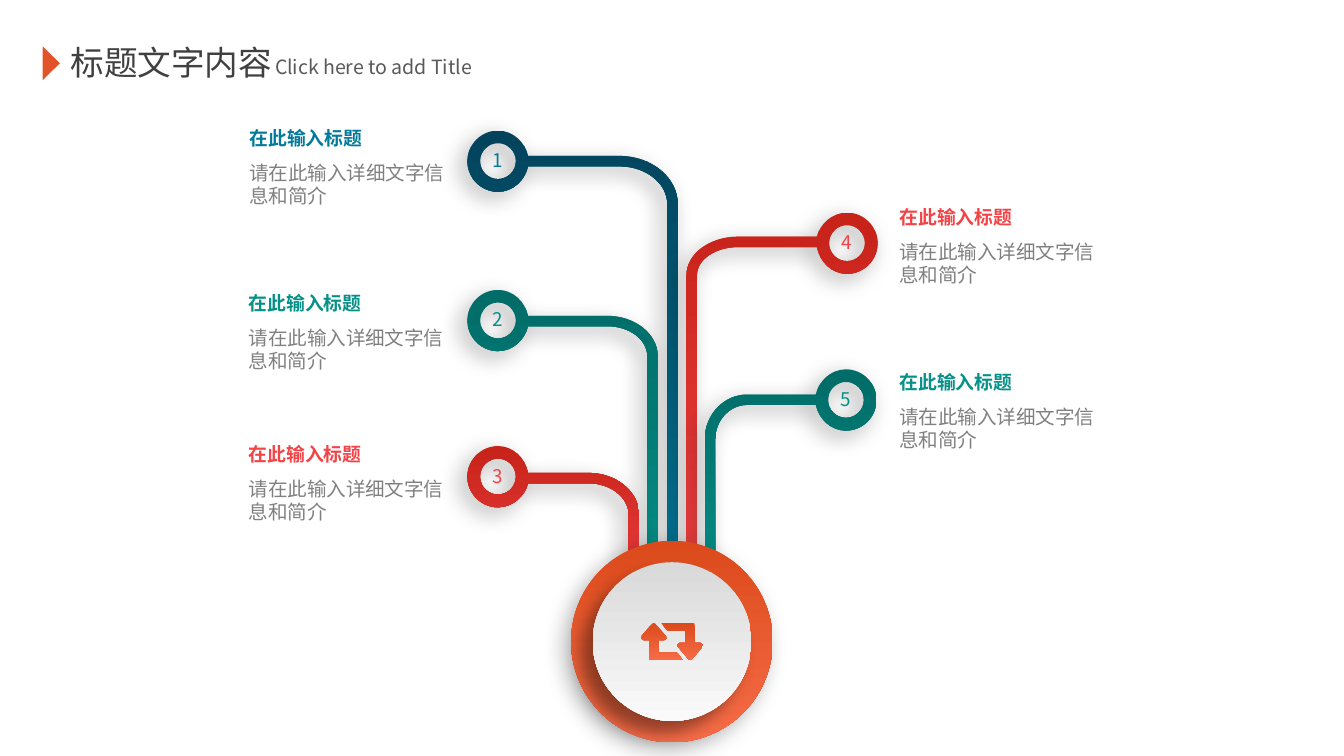
from lxml import etree
from pptx import Presentation
from pptx import util as u
from pptx.dml.color import RGBColor
from pptx.enum import shapes, text
from pptx.oxml import ns

Pt = u.Pt
FONT = "Noto Sans CJK SC"
DARK = RGBColor(0x40, 0x40, 0x40)
MID = RGBColor(0x59, 0x59, 0x59)
GRAY = RGBColor(0x80, 0x80, 0x80)
ORANGE = RGBColor(0xE2, 0x53, 0x2A)
# Gradient pairs, top to bottom; the second colour also serves for text.
BLUE = (RGBColor(0x03, 0x43, 0x5C), RGBColor(0x03, 0x7A, 0x9B))
TEAL = (RGBColor(0x02, 0x6C, 0x68), RGBColor(0x05, 0x91, 0x88))
RED = (RGBColor(0xC7, 0x23, 0x19), RGBColor(0xF3, 0x43, 0x47))
FLAME = (RGBColor(0xDC, 0x4A, 0x1B), RGBColor(0xF6, 0x6C, 0x47))
PALE = (RGBColor(0xD9, 0xD9, 0xD9), RGBColor(0xFA, 0xFA, 0xFA))

RING, HOLE, PIPE = 16.4, 9.6, 5.6
FOOT = 325.4
HUB = (360, 343.7)
# number, colours, ring centre, pipe y, bend centre, stem x, label corner
ROWS = [
    ("1", BLUE, (266.8, 86.4), 86.4, (332, 109.4), 360.3, (126.6, 64.2)),
    ("2", TEAL, (266.8, 171.7), 172, (325.4, 190.8), 349.6, (126.2, 152.6)),
    ("3", RED, (266.8, 255.4), 256.2, (315.4, 275.8), 339.6, (126.2, 233.5)),
    ("4", RED, (453.8, 130.3), 129.6, (395.3, 147.4), 370.6, (474.8, 106.6)),
    ("5", TEAL, (453.2, 214.3), 214.2, (400.3, 235.4), 380.4, (474.8, 195)),
]
ARROW = [(5.8, 10), (-11.5, 10), (-12.2, 9.4), (-12.2, -0.7), (-15.1, -0.7),
         (-16.6, -1.6), (-16.4, -2.8), (-10.6, -9.6), (-9.8, -10), (-9, -9.6),
         (-3.2, -2.8), (-3, -1.6), (-4.2, -0.7), (-7.2, -0.7), (-7.2, 5.8),
         (2.2, 5.8), (3, 6.3)]


def write(frame, words, size, color, bold=False, wrap=False, indent=0,
          align=text.PP_ALIGN.LEFT, anchor=text.MSO_ANCHOR.TOP):
    """Put one formatted paragraph into a text frame."""
    frame.auto_size = text.MSO_AUTO_SIZE.NONE
    frame.word_wrap = wrap
    frame.vertical_anchor = anchor
    frame.margin_left = frame.margin_right = Pt(7.2)
    frame.margin_top = frame.margin_bottom = Pt(3.6)
    par = frame.paragraphs[0]
    par.alignment = align
    par.line_spacing = Pt(round(size * 1.2, 1))
    if indent:
        par._p.get_or_add_pPr().set("marL", str(Pt(indent)))
    run = par.add_run()
    run.text = words
    font = run.font
    font.name, font.size, font.bold = FONT, Pt(size), bold
    font.color.rgb = color
    east = etree.SubElement(font._element, ns.qn("a:ea"))
    east.set("typeface", FONT)


def label(slide, box, words, size, color, **form):
    """Add a text box at box = left, top, width, height."""
    item = slide.shapes.add_textbox(*map(Pt, box))
    write(item.text_frame, words, size, color, **form)


def shade(item, colors, blur=0, dist=0, alpha=30):
    """Give a shape a vertical gradient, no line and an optional shadow."""
    item.fill.gradient()
    item.fill.gradient_angle = 270
    for stop, color in zip(item.fill.gradient_stops, colors):
        stop.color.rgb = color
    item.line.fill.background()
    item.shadow.inherit = False
    if blur:
        effects = item._element.spPr.find(ns.qn("a:effectLst"))
        cast = etree.SubElement(
            effects, ns.qn("a:outerShdw"), blurRad=str(Pt(blur)),
            dist=str(Pt(dist)), dir=str(135 * 60000), algn="tr",
            rotWithShape="0")
        tint = etree.SubElement(cast, ns.qn("a:srgbClr"), val="000000")
        etree.SubElement(tint, ns.qn("a:alpha"), val=str(alpha * 1000))


def turn(start, corner, end):
    """Return a quarter-ellipse step as two controls and an end point."""
    near, far = [tuple(p + 0.55 * (c - p) for p, c in zip(spot, corner))
                 for spot in (start, end)]
    return [near, far, end]


def outline(slide, loops):
    """Build a freeform; a loop is a start, then steps of 1 or 3 points."""
    pen = None
    for start, *steps in loops:
        spot = tuple(map(Pt, start))
        if pen is None:
            pen = slide.shapes.build_freeform(*spot, scale=1.0)
        else:
            pen.move_to(*spot)
        pen.add_line_segments(
            [(Pt(x), Pt(y)) for step in steps for x, y in step], close=True)
    item = pen.convert_to_shape()
    nodes = iter(list(item._element.iter(ns.qn("a:lnTo"))))
    for _, *steps in loops:
        for step in steps:
            group = [next(nodes) for _ in step]
            if len(group) == 3:
                curve = etree.Element(ns.qn("a:cubicBezTo"))
                group[0].addprevious(curve)
                for node in group:
                    curve.append(node[0])
                    node.getparent().remove(node)
    return item


def branch(slide, colors, ring, pipe, bend, stem):
    """Draw a ring whose pipe bends down into the hub."""
    side = 1 if ring[0] < stem else -1
    half = PIPE / 2
    (cx, cy), (bx, by) = ring, bend
    upper, lower = pipe - half, pipe + half
    far, near = stem + side * half, stem - side * half

    def at(x, y, size=1):
        """Return a point relative to the ring, x towards the stem."""
        return cx + side * x * size, cy + y * size

    def quarter(a, b, size):
        """Return a quarter turn between two compass points of the ring."""
        return turn(at(*a, size), at(a[0] + b[0], a[1] + b[1], size),
                    at(*b, size))

    north, west, south, east = (0, -1), (-1, 0), (0, 1), (1, 0)
    mouth = cx + side * 16.1
    body = [
        (mouth, upper),
        [at(14.6, -10), at(8.2, -RING), at(0, -RING)],
        quarter(north, west, RING),
        quarter(west, south, RING),
        [at(8.2, RING), at(14.6, 10), (mouth, lower)],
        [(bx, lower)],
        turn((bx, lower), (near, lower), (near, by)),
        [(near, FOOT)], [(far, FOOT)], [(far, by)],
        turn((far, by), (far, upper), (bx, upper)),
    ]
    hole = [at(0, -HOLE), quarter(north, east, HOLE),
            quarter(east, south, HOLE), quarter(south, west, HOLE),
            quarter(west, north, HOLE)]
    shade(outline(slide, [body, hole]), colors, blur=12, dist=5)


def disc(slide, radius, colors, **cast):
    """Draw a shaded circle around the hub centre."""
    item = slide.shapes.add_shape(
        shapes.MSO_SHAPE.OVAL, Pt(HUB[0] - radius), Pt(HUB[1] - radius),
        Pt(2 * radius), Pt(2 * radius))
    shade(item, colors, **cast)


def heading(slide):
    """Place the title, its marker and the subtitle."""
    title = slide.shapes.title
    title.left, title.top = Pt(30.6), Pt(18.9)
    title.width, title.height = Pt(129), Pt(28.8)
    write(title.text_frame, "标题文字内容", 18, DARK)
    mark = slide.shapes.add_shape(
        shapes.MSO_SHAPE.ISOSCELES_TRIANGLE, Pt(18.5), Pt(29.3), Pt(18),
        Pt(9.2))
    mark.rotation = 90
    mark.fill.solid()
    mark.fill.fore_color.rgb = ORANGE
    mark.line.fill.background()
    mark.shadow.inherit = False
    label(slide, (136.1, 25.9, 131.8, 20), "Click here to add Title", 10.5,
          MID, wrap=True, indent=4.2)


def main():
    """Build and save the slide."""
    deck = Presentation()
    deck.slide_width, deck.slide_height = Pt(720), Pt(405)
    slide = deck.slides.add_slide(deck.slide_layouts[5])
    heading(slide)
    for _, colors, ring, pipe, bend, stem, _ in ROWS:
        branch(slide, colors, ring, pipe, bend, stem)
    for digit, colors, ring, _, _, _, (left, top) in ROWS:
        label(slide, (left, top, 75.6, 19.4), "在此输入标题", 10.1,
              colors[1], bold=True)
        label(slide, (left, top + 18.2, 119.5, 32.4),
              "请在此输入详细文字信息和简介", 10.5, GRAY, wrap=True,
              anchor=text.MSO_ANCHOR.MIDDLE)
        label(slide, (ring[0] - 10.1, ring[1] - 10.2, 20.2, 19.4), digit,
              10.1, colors[1], align=text.PP_ALIGN.CENTER)
    disc(slide, 54, FLAME, blur=12, dist=5)
    disc(slide, 42.5, PALE, blur=9, dist=9, alpha=40)
    loops = []
    for sign in (1, -1):
        start, *rest = [(HUB[0] + sign * x, HUB[1] + sign * y)
                        for x, y in ARROW]
        loops.append([start] + [[spot] for spot in rest])
    shade(outline(slide, loops), FLAME)
    deck.save("out.pptx")


main()
